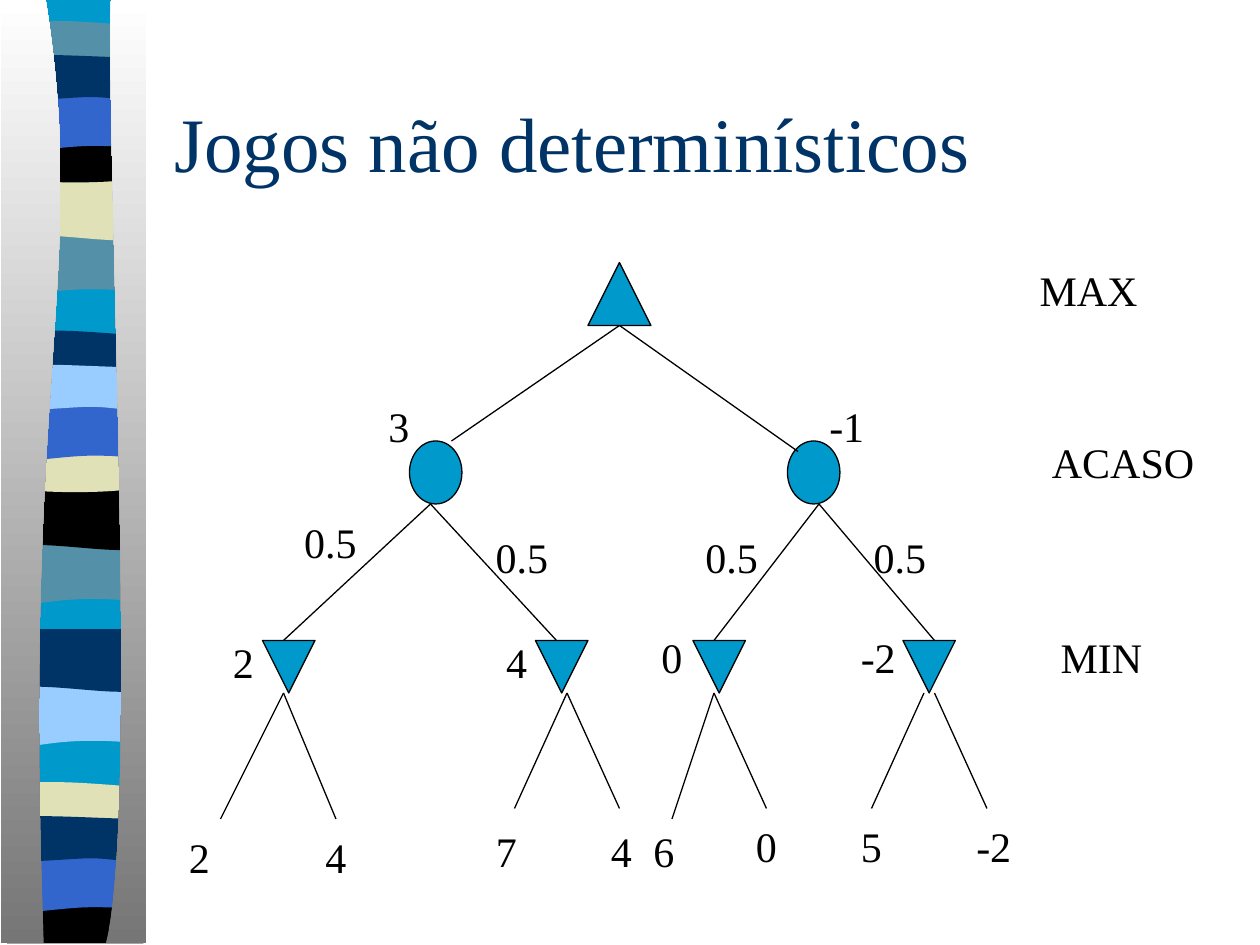
from lxml.etree import SubElement
from pptx import Presentation
from pptx.dml.color import RGBColor
from pptx.enum.shapes import MSO_CONNECTOR, MSO_SHAPE
from pptx.enum.text import MSO_ANCHOR
from pptx.oxml.ns import qn
from pptx.util import Pt

FONT = "Times New Roman"
COLORS = {
    "teal": "0099CC", "slate": "5490A8", "navy": "003366", "blue": "3366CC",
    "black": "000000", "cream": "E1E1B7", "light": "99CCFF",
    "shade": "767676", "white": "FFFFFF",
}
TITLE = "Jogos não determinísticos"

# Ribbon: a teal panel under three groups of wavy stripes, from back to front
RIBBON_LEFT, RIBBON_RIGHT, RIBBON_TOP, RIBBON_BOTTOM = 4, 82, -0.5, 538.5
# Top and bottom of each stripe in the first group, with the wave of each edge
STRIPES = [
    (133, 167, "flat", "swirl"),
    (101.5, 135.5, "flat", "roll"),
    (15, 32.5, "crest", "bulge"),
    (78, 101, "dip", "sag"),
    (53, 87, "flat", "arch"),
    (33, 55.5, "rise", "ends"),
]
# Colour and downward shift of each stripe, group by group
GROUPS = [
    [("slate", 0), ("cream", 0), ("slate", 0), ("black", 0), ("blue", 0), ("navy", 0)],
    [("slate", 177), ("black", 177), ("navy", 177), ("cream", 177), ("blue", 177),
     ("light", 177)],
    [("light", 258), ("navy", 258), ("cream", 435), ("black", 435), ("blue", 435),
     ("navy", 435)],
]
# Inner Bézier points (x, offset from the edge height), left to right
WAVES = {
    "flat": [],
    "crest": [(9, -3.6), (21, -3), (34, -3), (47, -3), (72, -0.7)],
    "bulge": [(17, 3), (69, 3)],
    "dip": [(52, 3.6), (66, 0)],
    "rise": [(15, -3.6), (57, 0)],
    "ends": [(12, 3.6), (39, 0), (52, 0), (65, 0), (77, 3.6)],
    "arch": [(16, 0), (39, -3.6), (52, -3.6), (65, -3.6), (70, -3.6)],
    "sag": [(17, 4.3), (69, 4.3)],
    "roll": [(28, -4.3), (69, 5.8)],
    "swirl": [(17, 5.8), (28, -5.8)],
}
# Shaded margins: Bézier of the inner edge, then the outer x
MARGINS = [
    ([(26, -0.5), (51, 155.5), (12, 213), (25, 539)], 0.3),
    ([(63.5, -0.5), (60.5, 90), (80, 465), (60.5, 539)], 83.5),
]

# Tree nodes: left, top, width, height; then shape, width, height, top, lefts
ROOT = (336, 150, 36, 36)
NODE_ROWS = [
    (MSO_SHAPE.OVAL, 30, 36, 252, [234, 450]),
    (MSO_SHAPE.FLOWCHART_MERGE, 30, 30, 366, [150, 306, 396, 516]),
]
ROOT_BRANCH_ENDS = [(258, 252), (456, 258)]
BRANCHES = [
    ((246, 288), [(162, 366), (318, 366)]),
    ((468, 288), [(408, 366), (534, 366)]),
    ((162, 396), [(126, 468), (192, 468)]),
    ((324, 396), [(294, 462), (354, 462)]),
    ((408, 396), [(384, 468), (438, 462)]),
    ((528, 396), [(498, 462)]),
    ((534, 396), [(564, 462)]),
]
LABELS = [
    ("MAX", 587, 147.6), ("ACASO", 594, 246.2), ("MIN", 599, 357.1),
    ("2", 126, 360), ("4", 282.2, 360), ("0", 370.8, 357.1), ("-2", 484.8, 357.1),
    ("2", 100.8, 471.6), ("4", 178.8, 471.6), ("7", 276.2, 468), ("4", 342, 468),
    ("6", 366.2, 468), ("0", 424.8, 465.1), ("5", 484.8, 465.1), ("-2", 550.8, 465.1),
    ("0.5", 166.8, 291.6), ("0.5", 276.2, 300.2), ("0.5", 396, 300.2), ("0.5", 492.2, 300.2),
    ("3", 214.8, 225.4), ("-1", 466.8, 225.4),
]
CHARACTER_WIDTHS = {"-": 8, ".": 6, "I": 8, "M": 21.3, "A": 17.3, "X": 17.3,
                    "C": 16, "S": 13.3, "O": 17.3, "N": 17.3}
DIGIT_WIDTH = 12


def color(name):
    return RGBColor.from_string(COLORS[name])


def stripe_edge(height, wave):
    inner = [(x, height + offset) for x, offset in WAVES[wave]]
    return [(RIBBON_LEFT, height), *inner, (RIBBON_RIGHT, height)]


def add_outline(slide, edges):
    """Draw a closed outline; an edge of more than two points is a chain of cubic Béziers."""
    points = [(Pt(x), Pt(y)) for edge in edges for x, y in edge]
    builder = slide.shapes.build_freeform(*points[0])
    builder.add_line_segments(points[1:], close=True)
    shape = builder.convert_to_shape()
    lines = list(shape._element.iter(qn("a:lnTo")))
    offset = 0
    for edge in edges:
        if len(edge) > 2:
            for start in range(offset, offset + len(edge) - 1, 3):
                first, *others = lines[start:start + 3]
                cubic = SubElement(first.getparent(), qn("a:cubicBezTo"))
                first.addprevious(cubic)
                for line in (first, *others):
                    cubic.append(line[0])
                    line.getparent().remove(line)
        offset += len(edge)
    shape.shadow.inherit = False
    shape.line.fill.background()
    return shape


def add_stripe(slide, name, top_edge, bottom_edge):
    stripe = add_outline(slide, [top_edge, bottom_edge[::-1]])
    stripe.fill.solid()
    stripe.fill.fore_color.rgb = color(name)


def add_ribbon(slide):
    add_stripe(slide, "teal", stripe_edge(RIBBON_TOP, "flat"),
               stripe_edge(RIBBON_BOTTOM, "flat"))
    for group in GROUPS:
        for (name, shift), (top, bottom, top_wave, bottom_wave) in zip(group, STRIPES):
            if bottom + shift > 535:
                bottom, bottom_wave = RIBBON_BOTTOM + 0.5 - shift, "flat"
            add_stripe(slide, name, stripe_edge(top + shift, top_wave),
                       stripe_edge(bottom + shift, bottom_wave))
    for edge, outer in MARGINS:
        margin = add_outline(slide, [edge, [(outer, edge[-1][1]), (outer, edge[0][1])]])
        margin.fill.gradient()
        margin.fill.gradient_angle = 90
        for stop, name in zip(margin.fill.gradient_stops, ("shade", "white")):
            stop.color.rgb = color(name)


def add_node(slide, kind, left, top, width, height):
    node = slide.shapes.add_shape(kind, Pt(left), Pt(top), Pt(width), Pt(height))
    node.shadow.inherit = False
    node.fill.solid()
    node.fill.fore_color.rgb = color("teal")
    node.line.color.rgb = color("black")
    node.line.width = Pt(0.75)
    return node


def add_branch(slide, start, end):
    branch = slide.shapes.add_connector(
        MSO_CONNECTOR.STRAIGHT, *(Pt(value) for value in (*start, *end)))
    branch.line.color.rgb = color("black")
    branch.line.width = Pt(0.75)
    SubElement(branch._element.spPr, qn("a:effectLst"))
    return branch


def add_text(slide, text, left, top, width, height, size, name, wrap=False):
    box = slide.shapes.add_textbox(Pt(left), Pt(top), Pt(width), Pt(height))
    box.text_frame.word_wrap = wrap
    box.text_frame.vertical_anchor = MSO_ANCHOR.MIDDLE if wrap else MSO_ANCHOR.TOP
    paragraph = box.text_frame.paragraphs[0]
    paragraph.text = text
    paragraph.font.name = FONT
    paragraph.font.size = Pt(size)
    paragraph.font.color.rgb = color(name)


def add_tree(slide):
    root = add_node(slide, MSO_SHAPE.FLOWCHART_EXTRACT, *ROOT)
    for kind, width, height, top, lefts in NODE_ROWS:
        for left in lefts:
            add_node(slide, kind, left, top, width, height)
    left, top, width, height = ROOT
    for end in ROOT_BRANCH_ENDS:
        branch = add_branch(slide, (left + width / 2, top + height), end)
        branch.begin_connect(root, 2)
    for start, ends in BRANCHES:
        for end in ends:
            add_branch(slide, start, end)
    for text, left, top in LABELS:
        width = 14.4 + sum(CHARACTER_WIDTHS.get(character, DIGIT_WIDTH) for character in text)
        add_text(slide, text, left, top, width, 36, 24, "black")


def main():
    presentation = Presentation()
    presentation.slide_width, presentation.slide_height = Pt(720), Pt(540)
    slide = presentation.slides.add_slide(presentation.slide_layouts[6])
    add_ribbon(slide)
    add_text(slide, TITLE, 92.4, 36, 612, 90, 44, "navy", wrap=True)
    add_tree(slide)
    presentation.save("out.pptx")


if __name__ == "__main__":
    main()
